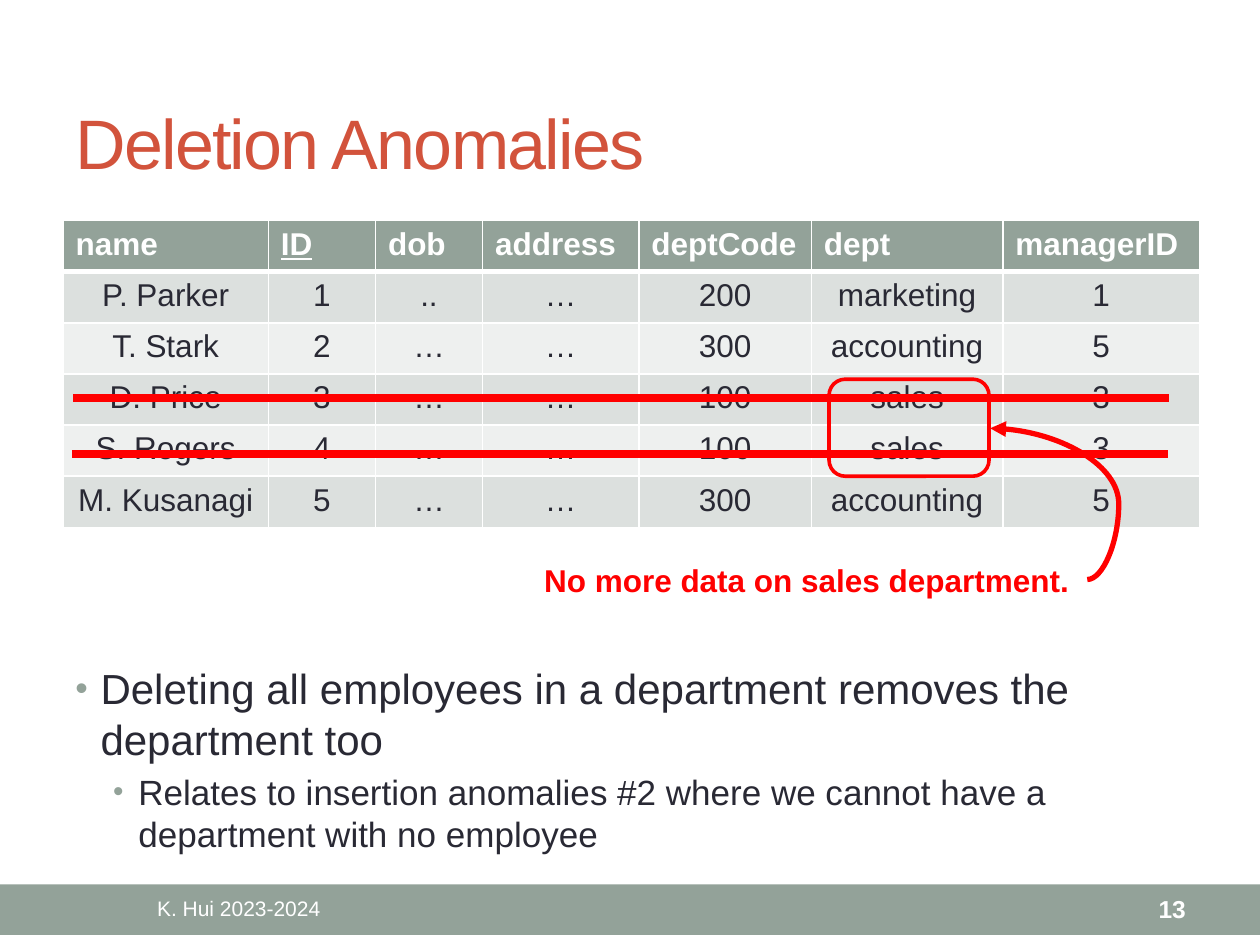
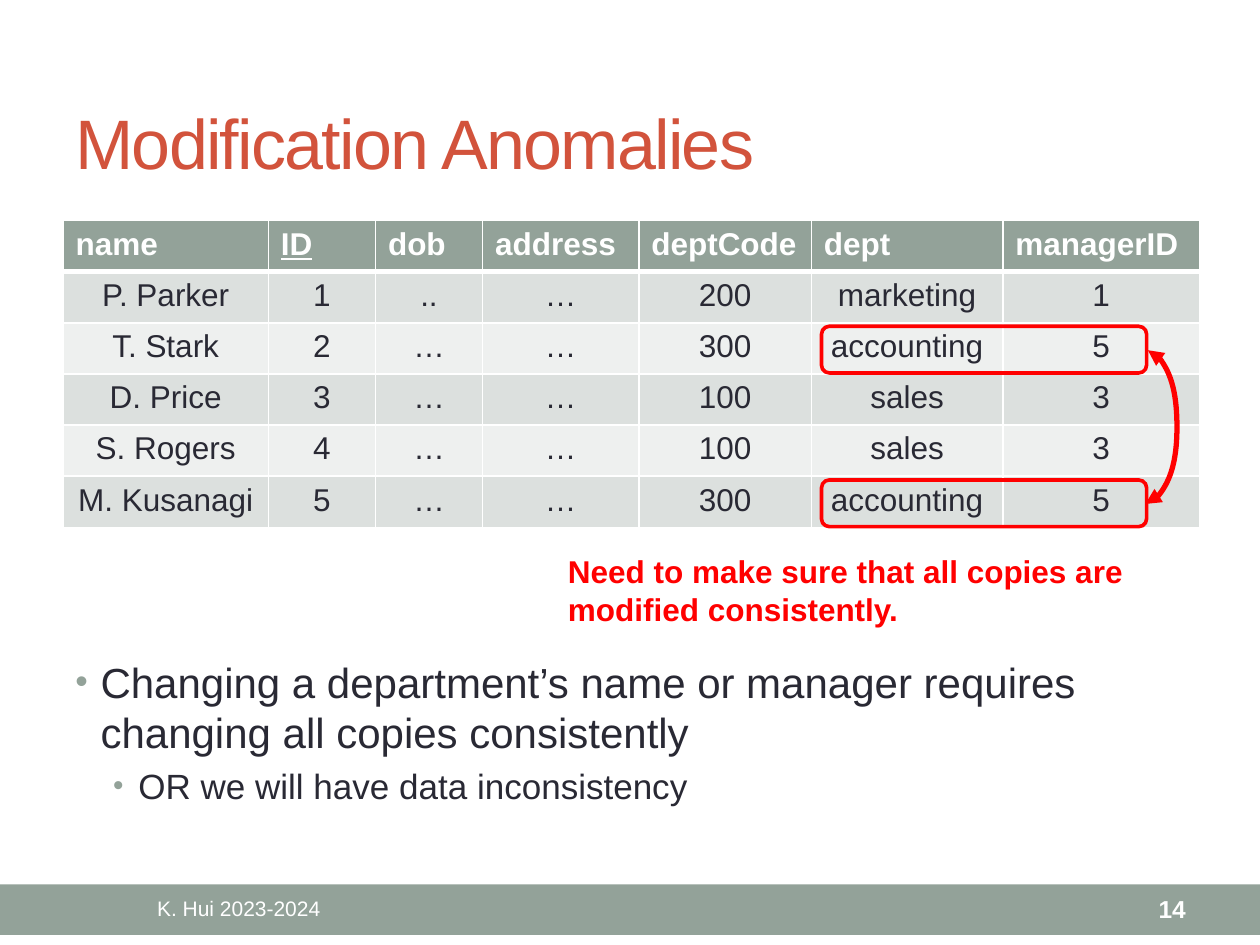
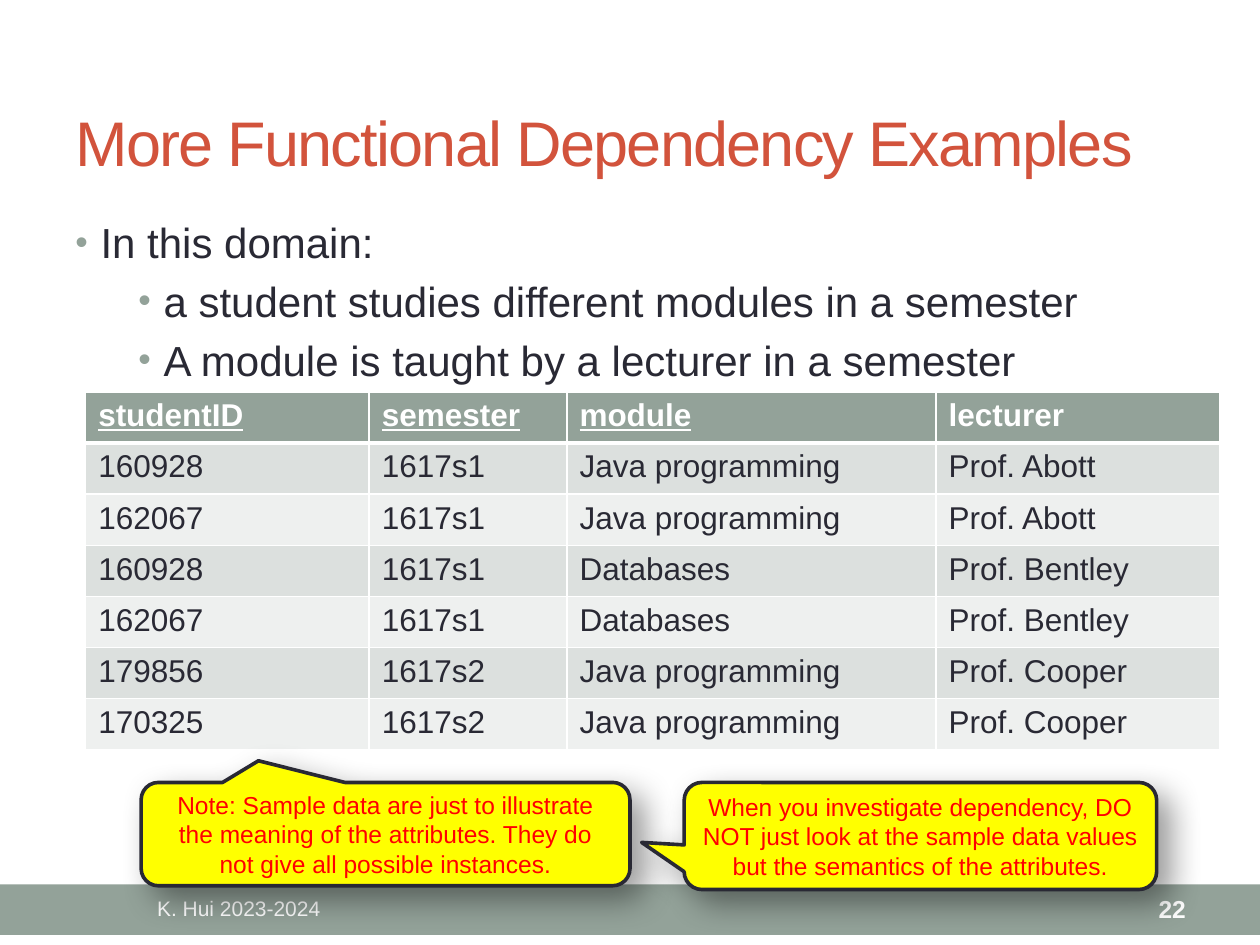
from lxml import etree
from pptx import Presentation
from pptx.dml.color import RGBColor
from pptx.enum.shapes import MSO_CONNECTOR, MSO_SHAPE
from pptx.enum.text import MSO_ANCHOR, PP_ALIGN
from pptx.oxml.ns import qn
from pptx.util import Inches, Pt

SAGE = RGBColor(0x93, 0xA2, 0x99)
BAND_DARK = RGBColor(0xDC, 0xE0, 0xDE)
BAND_LIGHT = RGBColor(0xEE, 0xF0, 0xEF)
BRICK = RGBColor(0xD2, 0x53, 0x3C)
INK = RGBColor(0x29, 0x29, 0x34)
RED = RGBColor(0xFF, 0x00, 0x00)
YELLOW = RGBColor(0xFF, 0xFF, 0x00)
WHITE = RGBColor(0xFF, 0xFF, 0xFF)
BLACK = RGBColor(0x00, 0x00, 0x00)

LEFT, CENTER, RIGHT = PP_ALIGN.LEFT, PP_ALIGN.CENTER, PP_ALIGN.RIGHT
TOP, MIDDLE = MSO_ANCHOR.TOP, MSO_ANCHOR.MIDDLE
STRAIGHT, CURVE = MSO_CONNECTOR.STRAIGHT, MSO_CONNECTOR.CURVE
RECTANGLE, ROUNDED = MSO_SHAPE.RECTANGLE, MSO_SHAPE.ROUNDED_RECTANGLE
CALLOUT = MSO_SHAPE.ROUNDED_RECTANGULAR_CALLOUT

FONT = "Arial"
COLUMNS = 100
OUTLINE = 2.08
ROW_HEIGHT = 4.06


def add_node(parent, tag, **attributes):
    node = etree.SubElement(parent, qn(tag))
    for name, value in attributes.items():
        node.set(name, str(value))
    return node


class SlideWriter:
    def __init__(self, deck):
        self.deck = deck
        self.unit = deck.slide_width / COLUMNS
        self.page = None

    def lengths(self, *cells):
        return [round(cell * self.unit) for cell in cells]

    def start(self, title, number, title_size=40):
        self.page = self.deck.slides.add_slide(self.deck.slide_layouts[6])
        self.shape(RECTANGLE, (0, 70.2, COLUMNS, 4), fill=SAGE)
        heading = self.text((5, 5.8, 90, 10.8), title, title_size, BRICK, anchor=MIDDLE)
        for span in heading.text_frame.paragraphs[0].runs:
            span._r.get_or_add_rPr().set("spc", "-100")
        self.text((5, 70.3, 27.9, 3.6), "K. Hui 2023-2024", 12, WHITE,
                  align=CENTER, anchor=MIDDLE)
        self.text((83.4, 70.3, 11.7, 3.6), str(number), 14, WHITE, True, RIGHT, MIDDLE)

    def style(self, para, size, color, bold=False, align=LEFT):
        para.alignment = align
        para.font.name = FONT
        para.font.size = Pt(size)
        para.font.bold = bold
        para.font.color.rgb = color

    def text(self, area, words, size, color, bold=False, align=LEFT, anchor=TOP, wrap=True):
        box = self.page.shapes.add_textbox(*self.lengths(*area))
        box.text_frame.word_wrap = wrap
        box.text_frame.vertical_anchor = anchor
        para = box.text_frame.paragraphs[0]
        para.text = words
        self.style(para, size, color, bold, align)
        return box

    def bullets(self, area, items):
        box = self.page.shapes.add_textbox(*self.lengths(*area))
        frame = box.text_frame
        frame.word_wrap = True
        for index, (words, size, indent) in enumerate(items):
            para = frame.paragraphs[0] if index == 0 else frame.add_paragraph()
            para.text = words
            para.level = min(index, 1)
            margin, hang = self.lengths(indent, -2)
            properties = para._p.get_or_add_pPr()
            properties.set("marL", str(margin))
            properties.set("indent", str(hang))
            add_node(add_node(properties, "a:spcBef"), "a:spcPct", val=20000)
            add_node(add_node(properties, "a:buClr"), "a:srgbClr", val=SAGE)
            add_node(properties, "a:buSzPct", val=85000)
            add_node(properties, "a:buFont", typeface=FONT)
            add_node(properties, "a:buChar", char="•")
            self.style(para, size, INK)

    def shape(self, kind, area, fill=None, line=None):
        shape = self.page.shapes.add_shape(kind, *self.lengths(*area))
        shape.shadow.inherit = False
        if fill is None:
            shape.fill.background()
        else:
            shape.fill.solid()
            shape.fill.fore_color.rgb = fill
        if line is None:
            shape.line.fill.background()
        else:
            shape.line.color.rgb = line
            shape.line.width = Pt(OUTLINE)
        return shape

    def highlight(self, *area):
        self.shape(ROUNDED, area, line=RED)

    def callout(self, area, tip, words):
        shape = self.shape(CALLOUT, area, YELLOW, INK)
        shape.adjustments[0], shape.adjustments[1] = tip
        effects = shape._element.spPr.find(qn("a:effectLst"))
        shadow = add_node(effects, "a:outerShdw", blurRad=Pt(18.5), dist=Pt(9.9),
                          dir=45 * 60000, algn="tl", rotWithShape=0)
        add_node(add_node(shadow, "a:srgbClr", val=BLACK), "a:alpha", val=40000)
        frame = shape.text_frame
        frame.word_wrap = True
        frame.vertical_anchor = MIDDLE
        frame.text = words
        self.style(frame.paragraphs[0], 14, RED, align=CENTER)

    def connector(self, kind, begin, end, width):
        line = self.page.shapes.add_connector(kind, *self.lengths(*begin, *end))
        line.line.color.rgb = RED
        line.line.width = Pt(width)
        add_node(line._element.spPr, "a:effectLst")
        return line

    def curved_arrow(self, begin, end, bulge, ends=("tailEnd",)):
        arrow = self.connector(CURVE, begin, end, 3)
        geometry = arrow._element.spPr.find(qn("a:prstGeom"))
        guides = geometry.find(qn("a:avLst"))
        if guides is None:
            guides = add_node(geometry, "a:avLst")
        share = (bulge - begin[0]) / (end[0] - begin[0])
        add_node(guides, "a:gd", name="adj1", fmla=f"val {round(share * 100000)}")
        for tip in ends:
            add_node(arrow.line._get_or_add_ln(), f"a:{tip}", type="triangle")

    def border(self, cell, side, width):
        line = add_node(cell._tc.get_or_add_tcPr(), f"a:{side}", w=Pt(width))
        add_node(add_node(line, "a:solidFill"), "a:srgbClr", val=WHITE)

    def table(self, left, top, widths, rows, keys, align):
        frame = self.page.shapes.add_table(
            len(rows), len(widths),
            *self.lengths(left, top, sum(widths), ROW_HEIGHT * len(rows)))
        table = frame.table
        table.horz_banding = False
        for column, width in zip(table.columns, self.lengths(*widths)):
            column.width = width
        for row_index, row in enumerate(rows):
            header = row_index == 0
            for column_index, words in enumerate(row):
                cell = table.cell(row_index, column_index)
                self.border(cell, "lnL", 1)
                self.border(cell, "lnR", 1)
                self.border(cell, "lnT", 3 if row_index == 1 else 1)
                self.border(cell, "lnB", 3 if header else 1)
                cell.fill.solid()
                cell.fill.fore_color.rgb = (
                    SAGE if header else BAND_DARK if row_index % 2 else BAND_LIGHT)
                cell.text = words
                para = cell.text_frame.paragraphs[0]
                self.style(para, 18, WHITE if header else INK, header,
                           LEFT if header else align)
                if header and words in keys:
                    para.font.underline = True


EMPLOYEES = [
    ("name", "ID", "dob", "address", "deptCode", "dept", "managerID"),
    ("P. Parker", "1", "..", "…", "200", "marketing", "1"),
    ("T. Stark", "2", "…", "…", "300", "accounting", "5"),
    ("D. Price", "3", "…", "…", "100", "sales", "3"),
    ("S. Rogers", "4", "…", "…", "100", "sales", "3"),
    ("M. Kusanagi", "5", "…", "…", "300", "accounting", "5"),
]
EMPLOYEE_TABLE = (5, 17.5, (16.3, 8.5, 8.5, 12.4, 13.7, 15.2, 15.6), EMPLOYEES, {"ID"}, CENTER)

STUDIES = [
    ("studentID", "semester", "module", "lecturer"),
    ("160928", "1617s1", "Java programming", "Prof. Abott"),
    ("162067", "1617s1", "Java programming", "Prof. Abott"),
    ("160928", "1617s1", "Databases", "Prof. Bentley"),
    ("162067", "1617s1", "Databases", "Prof. Bentley"),
    ("179856", "1617s2", "Java programming", "Prof. Cooper"),
    ("170325", "1617s2", "Java programming", "Prof. Cooper"),
]

deck = Presentation()
deck.slide_width = Inches(10)
deck.slide_height = Inches(7.5)
writer = SlideWriter(deck)

writer.start("Deletion Anomalies", 13)
writer.table(*EMPLOYEE_TABLE)
writer.bullets((5, 52.1, 90, 17), [
    ("Deleting all employees in a department removes the department too", 24, 2),
    ("Relates to insertion anomalies #2 where we cannot have a department with no employee", 20, 5),
])
for start, row in ((5.8, 31.6), (5.7, 36)):
    writer.connector(STRAIGHT, (start, row), (start + 87, row), 4.5)
writer.text((42.2, 44, 44.1, 4), "No more data on sales department.", 18, RED, True, wrap=False)
writer.curved_arrow((86.3, 46), (78.6, 34), 88.8)
writer.highlight(65.8, 30.1, 12.7, 7.7)

writer.start("Modification Anomalies", 14)
writer.table(*EMPLOYEE_TABLE)
writer.bullets((5, 51.6, 90, 17.4), [
    ("Changing a department’s name or manager requires changing all copies consistently", 24, 2),
    ("OR we will have data inconsistency", 20, 5),
])
for row in (38.1, 25.9):
    writer.highlight(65.2, row, 25.8, 3.7)
writer.curved_arrow((90.9, 40), (91.1, 27.8), 93.4, ("headEnd", "tailEnd"))
writer.text((44.1, 43.3, 53, 7.1),
            "Need to make sure that all copies are modified consistently.", 18, RED, True)

writer.start("More Functional Dependency Examples", 22, title_size=36)
writer.table(6.8, 31.1, (22.5, 15.7, 29.3, 22.5), STUDIES,
             {"studentID", "semester", "module"}, LEFT)
writer.bullets((5, 16.7, 90, 16.7), [
    ("In this domain:", 24, 2),
    ("a student studies different modules in a semester", 24, 7),
    ("A module is taught by a lecturer in a semester", 24, 7),
])
writer.callout((11.2, 62.1, 38.8, 8.2), (-0.26, -0.71),
               "Note: Sample data are just to illustrate the meaning of the attributes. "
               "They do not give all possible instances.")
writer.callout((54.3, 62.1, 37.5, 8.5), (-0.59, 0.06),
               "When you investigate dependency, DO NOT just look at the sample data values "
               "but the semantics of the attributes.")

deck.save("out.pptx")
